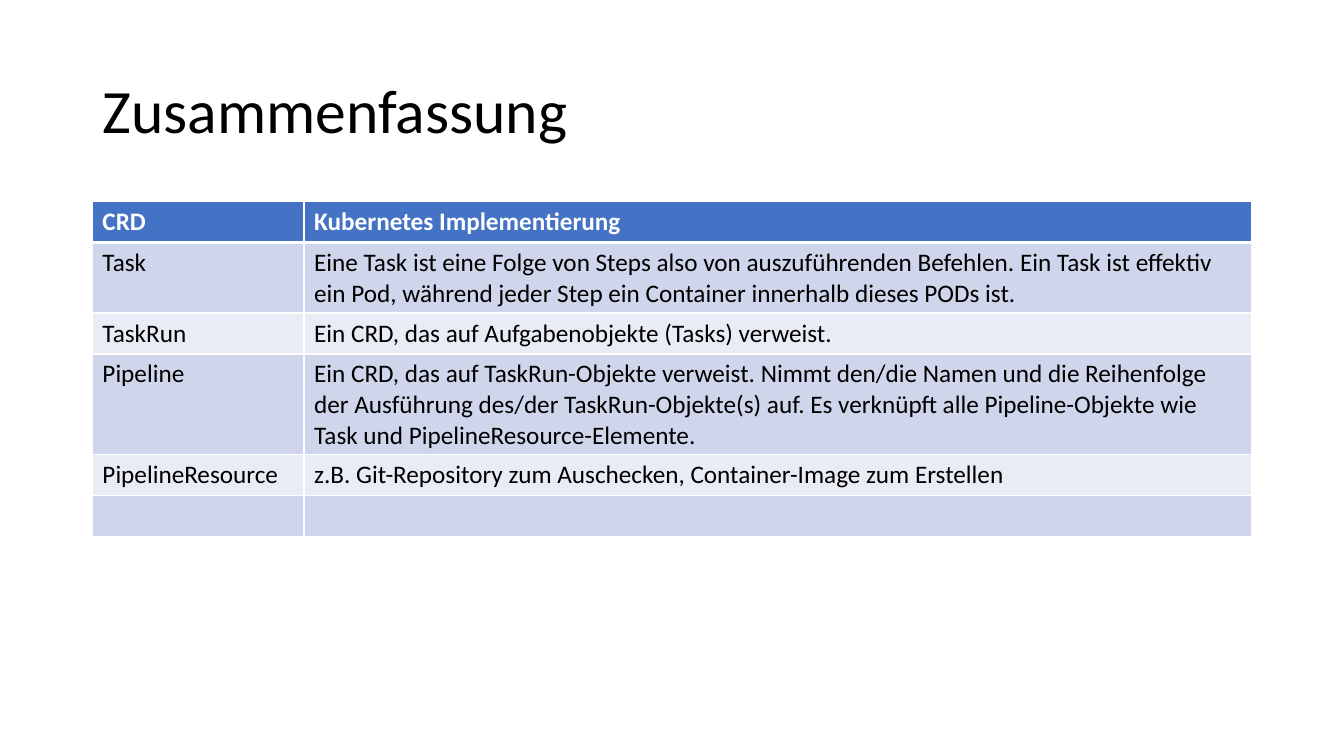
from lxml.etree import SubElement as Sub
from pptx import Presentation
from pptx.dml.color import RGBColor as Rgb
from pptx.enum.text import MSO_ANCHOR as Anchor
from pptx.oxml.ns import qn
from pptx.util import Inches, Pt

THEME = {
    "title": {"name": "Calibri", "size": Pt(44), "bold": False, "color": "000000"},
    "head": {"name": "Calibri", "size": Pt(18), "bold": True, "color": "FFFFFF"},
    "body": {"name": "Calibri", "size": Pt(18), "bold": False, "color": "000000"},
    "fills": {"head": "4472C4", "odd": "CFD5EA", "even": "E9EBF5"},
    "rule": "FFFFFF",
}
ROWS = [
    ("CRD", "Kubernetes Implementierung"),
    ("Task", "Eine Task ist eine Folge von Steps also von auszuführenden Befehlen. "
             "Ein Task ist effektiv ein Pod, während jeder Step ein Container "
             "innerhalb dieses PODs ist."),
    ("TaskRun", "Ein CRD, das auf Aufgabenobjekte (Tasks) verweist."),
    ("Pipeline", "Ein CRD, das auf TaskRun-Objekte verweist. Nimmt den/die Namen und "
                 "die Reihenfolge der Ausführung des/der TaskRun-Objekte(s) auf. "
                 "Es verknüpft alle Pipeline-Objekte wie Task und "
                 "PipelineResource-Elemente."),
    ("PipelineResource", "z.B. Git-Repository zum Auschecken, Container-Image zum Erstellen"),
    ("", ""),
]


def write(para, text, style):
    run = para.add_run()
    run.text = text
    for key, val in THEME[style].items():
        if key == "color":
            run.font.color.rgb = Rgb.from_string(val)
        else:
            setattr(run.font, key, val)


def edge(cell, widths):
    """Draw the cell's borders; widths maps L, R, T and B to points."""
    props = cell._tc.get_or_add_tcPr()
    for side, width in widths.items():
        line = Sub(props, qn(f"a:ln{side}"), w=str(Pt(width)))
        Sub(Sub(line, qn("a:solidFill")), qn("a:srgbClr"), val=THEME["rule"])


deck = Presentation()
deck.slide_width, deck.slide_height = Inches(13.33), Inches(7.5)
slide = deck.slides.add_slide(deck.slide_layouts[6])

# The grid has 160 columns and 90 rows of square units.
unit = deck.slide_width / 160
left, wide = int(11 * unit), int(138 * unit)

title = slide.shapes.add_textbox(left, int(4.8 * unit), wide, int(17.4 * unit)).text_frame
title.word_wrap = True
title.vertical_anchor = Anchor.MIDDLE
title.paragraphs[0].line_spacing = 0.9
write(title.paragraphs[0], "Zusammenfassung", "title")

high = int(4.87 * unit)
table = slide.shapes.add_table(len(ROWS), 2, left, int(24 * unit), wide, high * len(ROWS)).table
for col, span in zip(table.columns, (25.2, 112.8)):
    col.width = int(span * unit)

for r, row in enumerate(ROWS):
    table.rows[r].height = high
    style = "body" if r else "head"
    band = ("even", "odd")[r % 2] if r else "head"
    for c, text in enumerate(row):
        cell = table.cell(r, c)
        edge(cell, {"L": 1, "R": 1, "T": 3 if r == 1 else 1, "B": 1 if r else 3})
        cell.fill.solid()
        cell.fill.fore_color.rgb = Rgb.from_string(THEME["fills"][band])
        if text:
            write(cell.text_frame.paragraphs[0], text, style)

deck.save("out.pptx")
